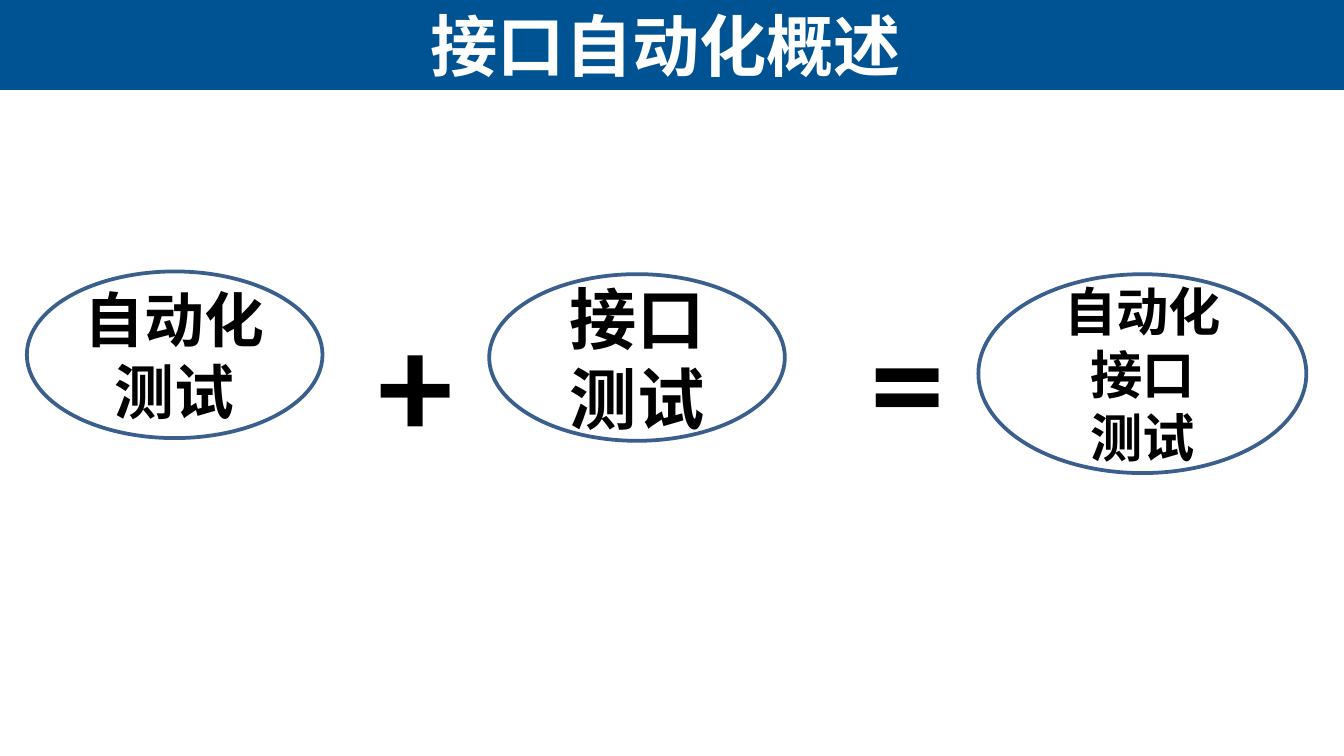
from pptx import Presentation
from pptx.dml.color import RGBColor
from pptx.enum.shapes import MSO_SHAPE as Shape
from pptx.enum.text import MSO_ANCHOR as Anchor, PP_ALIGN as Align
from pptx.util import Inches, Pt

COLORS = {
    "banner": "005392",
    "outline": "3A5F8C",
    "title": "FFFFFF",
    "text": "000000",
}

SLIDE_WIDTH = 10
SLIDE_HEIGHT = SLIDE_WIDTH * 9 / 16

# left, top, width, height, font size, paragraphs
TERMS = [
    (0.2, 2.02, 2.2, 1.24, 32, ["自动化测试"]),
    (3.64, 2.04, 2.2, 1.24, 36, ["接口测试"]),
    (7.28, 2.04, 2.44, 1.48, 28, ["自动化接口", "测试"]),
]

# left, top, symbol
OPERATORS = [(2.72, 2.1, "+"), (6.38, 2.08, "=")]


def color(name):
    return RGBColor.from_string(COLORS[name])


def write(shape, lines, size, font="Calibri", color_name="text",
          align=Align.CENTER, anchor=Anchor.MIDDLE):
    frame = shape.text_frame
    frame.text = "\n".join(lines)
    frame.word_wrap = True
    frame.vertical_anchor = anchor
    for paragraph in frame.paragraphs:
        paragraph.alignment = align
        for run in paragraph.runs:
            run.font.name = font
            run.font.size = Pt(size)
            run.font.bold = True
            run.font.color.rgb = color(color_name)


def add_text(slide, left, top, width, height, text, size, **style):
    box = slide.shapes.add_textbox(
        Inches(left), Inches(top), Inches(width), Inches(height))
    write(box, [text], size, **style)


def add_banner(slide, width, height):
    banner = slide.shapes.add_shape(
        Shape.RECTANGLE, 0, 0, Inches(width), Inches(height))
    banner.shadow.inherit = False
    banner.fill.solid()
    banner.fill.fore_color.rgb = color("banner")
    banner.line.fill.background()


def add_term(slide, left, top, width, height, size, lines):
    ellipse = slide.shapes.add_shape(
        Shape.OVAL, Inches(left), Inches(top), Inches(width), Inches(height))
    ellipse.shadow.inherit = False
    ellipse.fill.background()
    ellipse.line.color.rgb = color("outline")
    ellipse.line.width = Pt(2)
    write(ellipse, lines, size)


def main():
    presentation = Presentation()
    presentation.slide_width = Inches(SLIDE_WIDTH)
    presentation.slide_height = Inches(SLIDE_HEIGHT)
    slide = presentation.slides.add_slide(presentation.slide_layouts[6])

    # Title banner
    add_banner(slide, SLIDE_WIDTH, 0.67)
    add_text(slide, 0.02, 0, 9.87, 0.67, "接口自动化概述", 36,
             font="Arial", color_name="title")

    # Terms of the equation
    for term in TERMS:
        add_term(slide, *term)

    # Operators between the terms
    for left, top, symbol in OPERATORS:
        add_text(slide, left, top, 0.91, 1.45, symbol, 80,
                 align=Align.LEFT, anchor=Anchor.TOP)

    presentation.save("out.pptx")


if __name__ == "__main__":
    main()
